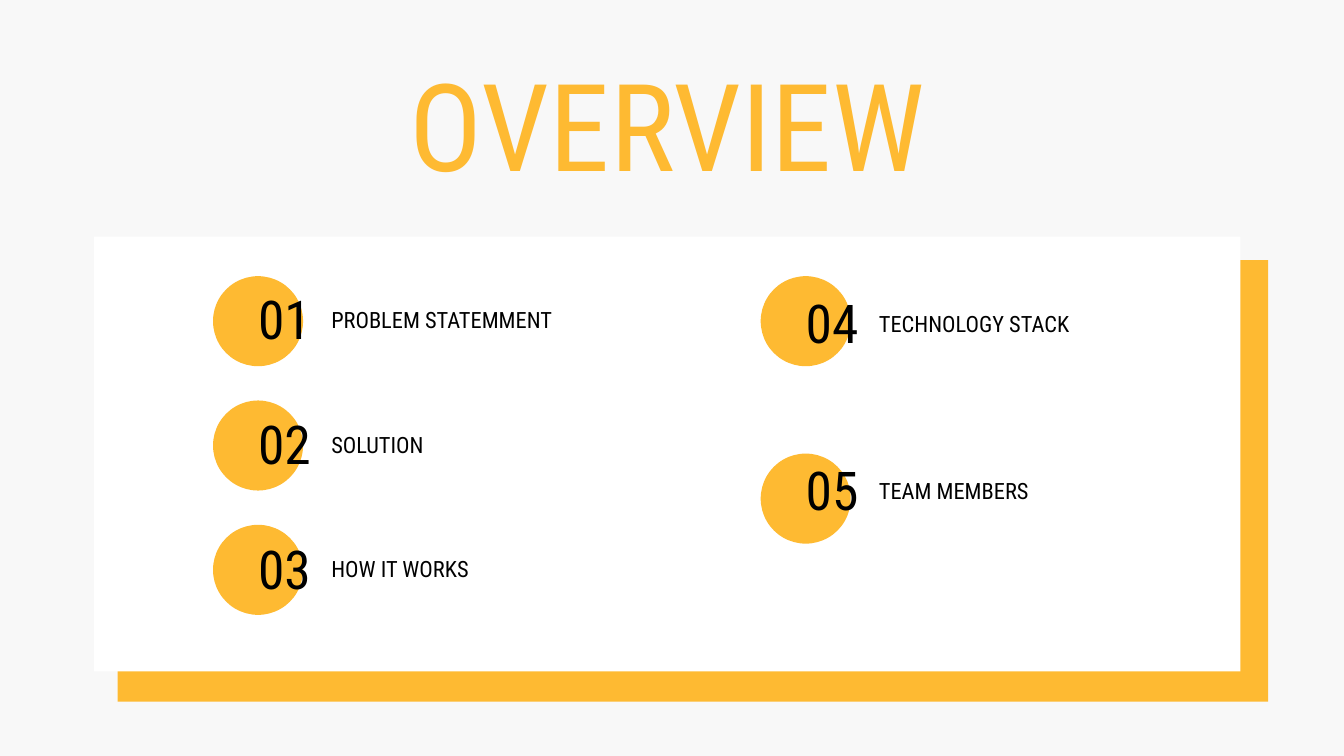
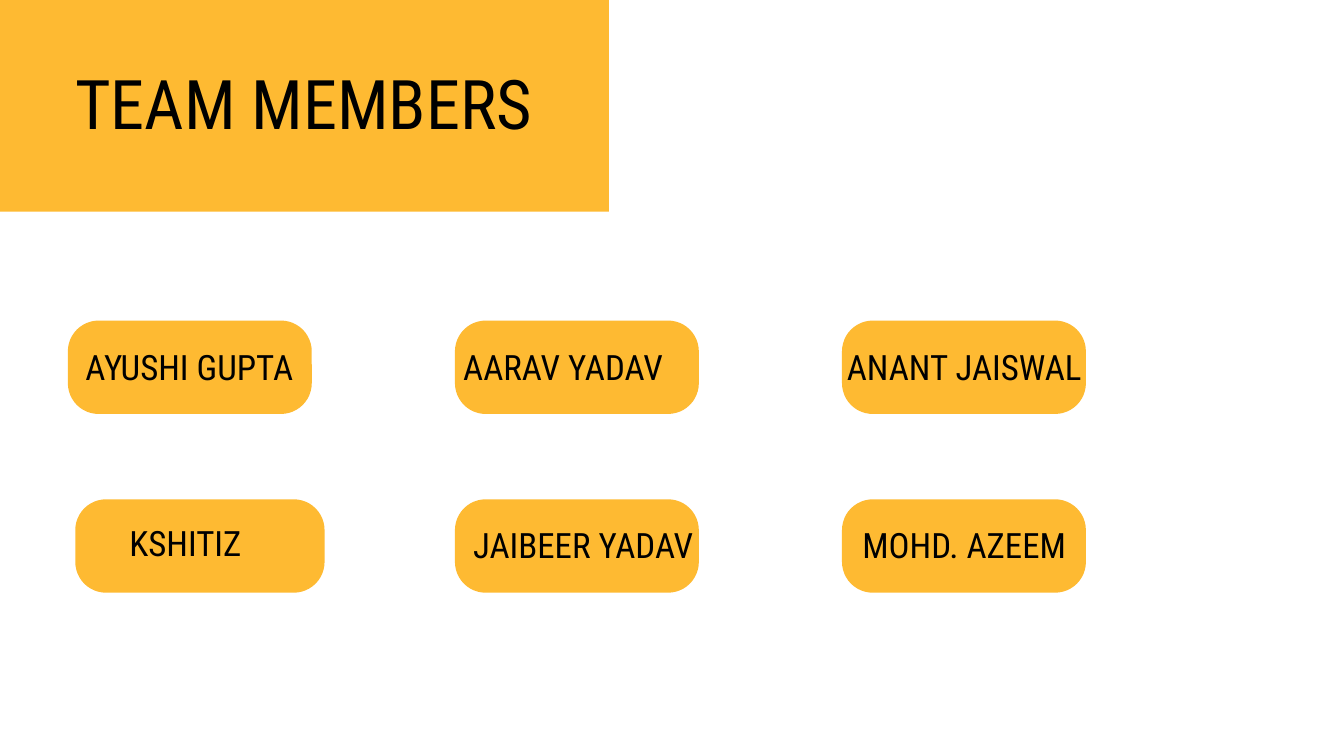
from pptx import Presentation
from pptx.dml.color import RGBColor
from pptx.enum.shapes import MSO_SHAPE as SHAPE
from pptx.enum.text import MSO_ANCHOR as ANCHOR, MSO_AUTO_SIZE as AUTO, PP_ALIGN as ALIGN
from pptx.util import Inches, Pt

AMBER = RGBColor(0xFE, 0xBA, 0x32)
BLACK = RGBColor(0, 0, 0)
WHITE = RGBColor(0xFF, 0xFF, 0xFF)
PALE = RGBColor(0xF8, 0xF8, 0xF8)
FONT = "Roboto Condensed"

COLS, ROWS = 20, 11.25
CELL = Inches(1)

TOPICS = [
    (1.77, 1.85, [("01", "PROBLEM STATEMMENT", 0.23),
                  ("02", "SOLUTION", 0.24),
                  ("03", "HOW IT WORKS", 0.24)]),
    (9.92, 2.64, [("04", "TECHNOLOGY STACK", 0.29),
                  ("05", "TEAM MEMBERS", 0.13)]),
]
MEMBERS = [
    [("AYUSHI GUPTA", -0.2, 0.42), ("AARAV YADAV", -0.4, 0.42), ("ANANT JAISWAL", -0.19, 0.42)],
    [("KSHITIZ", -0.37, 0.39), ("JAIBEER YADAV", -0.1, 0.41), ("MOHD. AZEEM", -0.19, 0.41)],
]


def grid(*cells):
    """Turn grid columns and rows into slide lengths."""
    return [round(c * CELL) for c in cells]


def write(sp, text, size, spacing, color=BLACK, align=ALIGN.LEFT):
    """Write one formatted line into a shape without insets."""
    tf = sp.text_frame
    tf.margin_left = tf.margin_right = tf.margin_top = tf.margin_bottom = 0
    tf.word_wrap = True
    tf.auto_size = AUTO.NONE
    tf.vertical_anchor = ANCHOR.TOP
    p = tf.paragraphs[0]
    p.alignment = align
    p.line_spacing = Pt(spacing)
    r = p.add_run()
    r.text = text
    r.font.name, r.font.size = FONT, Pt(size)
    r.font.color.rgb = color


def add_text(s, box, text, **fmt):
    """Add a text box at the given grid box."""
    write(s.shapes.add_textbox(*grid(*box)), text, **fmt)


def add_block(s, kind, box, color=AMBER):
    """Add a flat filled shape at the given grid box."""
    sp = s.shapes.add_shape(kind, *grid(*box))
    sp.shadow.inherit = False
    sp.fill.solid()
    sp.fill.fore_color.rgb = color
    sp.line.fill.background()
    return sp


def add_slide(prs, color):
    """Add a title-only slide with a plain background."""
    s = prs.slides.add_slide(prs.slide_layouts[5])
    s.background.fill.solid()
    s.background.fill.fore_color.rgb = color
    return s


def set_title(s, box, text, **fmt):
    """Place and format the title in front of the blocks drawn so far."""
    sp = s.shapes.title
    sp.left, sp.top, sp.width, sp.height = grid(*box)
    write(sp, text, **fmt)
    sp.element.getparent().append(sp.element)


def add_topic(s, x, y, number, label, drop):
    """Draw a numbered disc with its label, from the disc's corner."""
    add_block(s, SHAPE.OVAL, (x, y, 1.34, 1.34))
    add_text(s, (x + 0.67, y + drop, 1.28, 0.9), number, size=57.3, spacing=63)
    add_text(s, (x + 1.76, y + drop + 0.25, 4.9, 0.38), label, size=24, spacing=26.4)


def add_panel(s, x, y, w, h):
    """Draw the white panel, its amber backing and the topic columns."""
    add_block(s, SHAPE.RECTANGLE, (x + 0.35, y + 0.35, w + 0.06, h + 0.1))
    add_block(s, SHAPE.RECTANGLE, (x, y, w, h), WHITE)
    for left, pitch, topics in TOPICS:
        for i, topic in enumerate(topics):
            add_topic(s, x + left, y + 0.59 + i * pitch, *topic)


def add_members(s, x, y, col_pitch, row_pitch):
    """Lay out the name chips on a grid from the given corner."""
    for row, names in enumerate(MEMBERS):
        for col, (name, dx, dy) in enumerate(names):
            left, top = x + col * col_pitch, y + row * row_pitch
            nudge, extra = (0.11, 0.08) if name == "KSHITIZ" else (0, 0)
            chip = add_block(s, SHAPE.ROUNDED_RECTANGLE,
                             (left + nudge, top, 3.63 + extra, 1.39))
            chip.adjustments[0] = 0.33
            add_text(s, (left + dx + nudge, top + dy, 4.02, 0.59), name,
                     size=37.4, spacing=41.2, align=ALIGN.CENTER)


def overview_slide(prs):
    """Build the overview of topics."""
    s = add_slide(prs, PALE)
    add_panel(s, 1.4, 3.52, 17.06, 6.47)
    set_title(s, (6.1, 1.16, 13.06, 1.86), "OVERVIEW", size=130.2, spacing=126.3, color=AMBER)


def team_slide(prs):
    """Build the slide of team members."""
    s = add_slide(prs, WHITE)
    add_block(s, SHAPE.RECTANGLE, (0, 0, 9.06, 3.15))
    set_title(s, (1.12, 1.01, 8.88, 1.12), "TEAM MEMBERS", size=73.3, spacing=80.7)
    add_members(s, 1.01, 4.77, 5.76, 2.66)


def main():
    """Build and save the presentation."""
    prs = Presentation()
    prs.slide_width, prs.slide_height = grid(COLS, ROWS)
    overview_slide(prs)
    team_slide(prs)
    prs.save("out.pptx")


if __name__ == "__main__":
    main()
